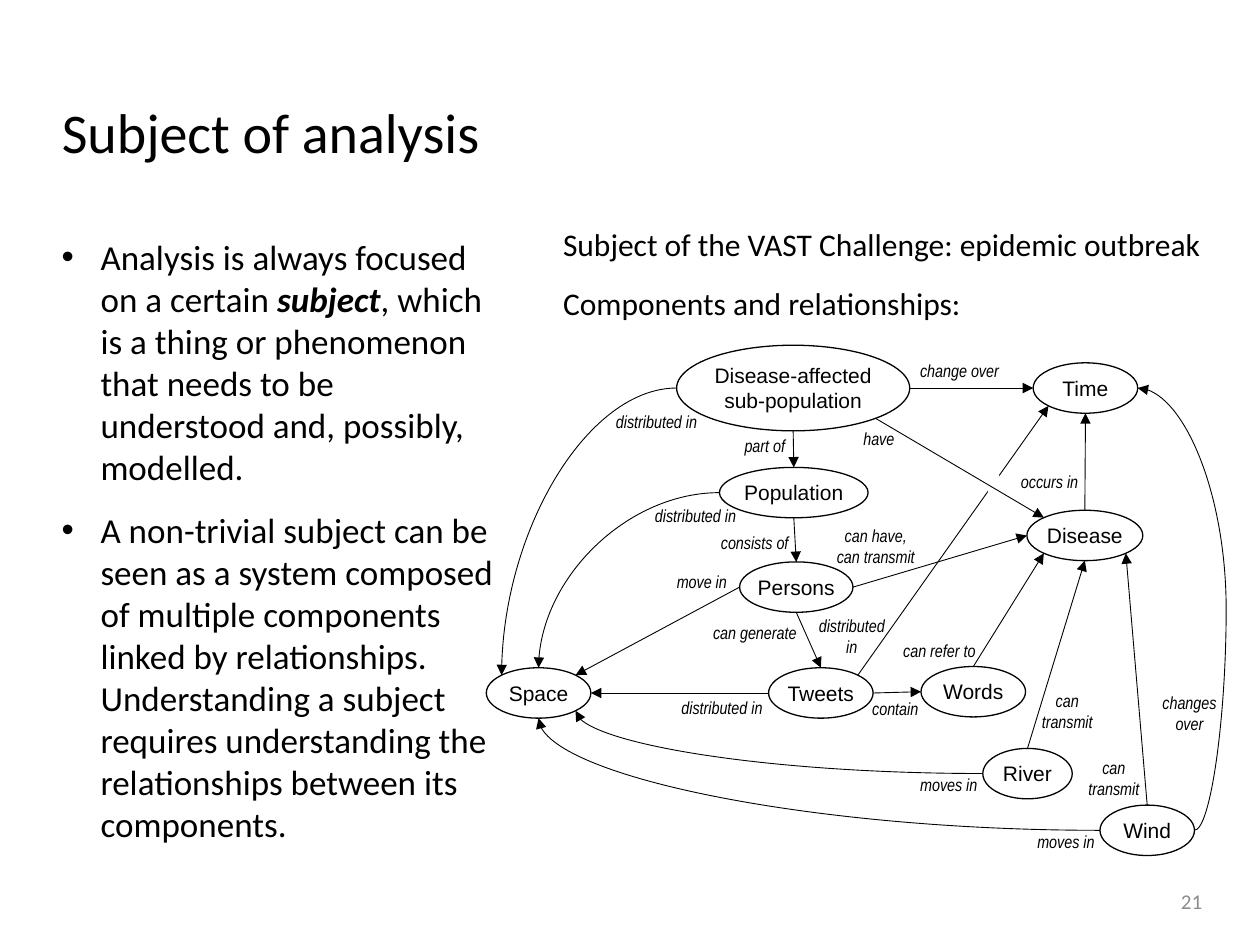
from math import cos, pi, sin
from lxml.etree import SubElement
from pptx import Presentation
from pptx.dml.color import RGBColor
from pptx.enum.shapes import MSO_CONNECTOR, MSO_SHAPE
from pptx.enum.text import MSO_ANCHOR, MSO_AUTO_SIZE, PP_ALIGN
from pptx.oxml.ns import qn
from pptx.util import Inches, Pt

COLORS = {"ink": "000000", "paper": "FFFFFF", "muted": "8C8C8C"}

TITLE = "Subject of analysis"
PAGE_NUMBER = "21"
POINTS = [
    ["Analysis is always focused on a certain ", ("subject",),
     ", which is a thing or phenomenon that needs to be understood and, possibly, modelled."],
    ["A non-trivial subject can be seen as a system composed of multiple components linked by "
     "relationships. Understanding a subject requires understanding the relationships between "
     "its components."],
]
INTRO = [["Subject of the VAST Challenge: epidemic outbreak"], ["Components and relationships:"]]

NODE_HEIGHT = 0.4
NODES = {
    "Disease-affected sub-population": (5.37, 2.74, 1.85, 0.68),
    "Time": (8.2, 2.88, 0.83, NODE_HEIGHT),
    "Population": (5.71, 3.71, 1.18, NODE_HEIGHT),
    "Disease": (8.15, 4.05, 0.92, NODE_HEIGHT),
    "Persons": (5.87, 4.46, 0.9, NODE_HEIGHT),
    "Space": (3.86, 5.3, 0.83, NODE_HEIGHT),
    "Tweets": (6.1, 5.3, 0.83, NODE_HEIGHT),
    "Words": (7.31, 5.29, 0.83, NODE_HEIGHT),
    "River": (7.8, 5.94, 0.71, NODE_HEIGHT),
    "Wind": (8.73, 6.39, 0.75, NODE_HEIGHT),
}
AFFECTED = "Disease-affected sub-population"

SITES = ["top", "top left", "left", "bottom left", "bottom", "bottom right", "right", "top right"]
CROSSING_LINK = ("Tweets", "top right", "Time", "bottom left")
CROSSING_GAP = (7.84, 3.77, 0.09, 0.31)
STRAIGHT_LINKS = [
    (AFFECTED, "bottom", "Population", "top"),
    (AFFECTED, "right", "Time", "left"),
    (AFFECTED, "bottom right", "Disease", "top left"),
    ("Population", "bottom", "Persons", "top"),
    ("Persons", "left", "Space", "top right"),
    ("Persons", "bottom", "Tweets", "top"),
    ("Persons", "right", "Disease", "left"),
    ("Tweets", "left", "Space", "right"),
    ("Tweets", "right", "Words", "left"),
    ("Words", "top", "Disease", "bottom left"),
    ("River", "top", "Disease", "bottom"),
    ("Wind", "top", "Disease", "bottom right"),
    ("Disease", "top", "Time", "bottom"),
]
CURVED_LINKS = [
    (AFFECTED, "left", "Space", "top left"),
    ("Population", "left", "Space", "top"),
    ("River", "left", "Space", "bottom right"),
    ("Wind", "left", "Space", "bottom"),
]
OUTER_LINK = ("Wind", "right", "Time", "right")
OUTER_BEND = -56000

ONE_LINE, TWO_LINES = 0.27, 0.44
LABELS = [
    ("distributed in", 4.77, 3.21, 0.88, ONE_LINE),
    ("distributed in", 5.1, 3.96, 0.84, ONE_LINE),
    ("change over", 7.18, 2.81, 0.87, ONE_LINE),
    ("part of", 5.8, 3.4, 0.54, ONE_LINE),
    ("consists of", 5.61, 4.17, 0.76, ONE_LINE),
    ("can generate", 5.55, 4.89, 0.88, ONE_LINE),
    ("have", 6.73, 3.35, 0.49, ONE_LINE),
    ("distributed in", 5.3, 5.48, 0.86, ONE_LINE),
    ("move in", 5.26, 4.48, 0.62, ONE_LINE),
    ("distributed in", 6.39, 4.83, 0.74, TWO_LINES),
    ("contain", 6.8, 5.49, 0.61, ONE_LINE),
    ("can refer to", 7.05, 5.03, 0.81, ONE_LINE),
    ("moves in", 7.2, 6.09, 0.66, ONE_LINE),
    ("moves in", 8.13, 6.55, 0.66, ONE_LINE),
    ("can transmit", 8.15, 5.43, 0.64, TWO_LINES),
    ("can transmit", 8.52, 5.96, 0.64, TWO_LINES),
    ("changes over", 9.09, 5.44, 0.7, TWO_LINES),
    ("can have, can transmit", 6.54, 4.12, 0.82, TWO_LINES),
    ("occurs in", 7.98, 3.69, 0.7, ONE_LINE),
]


def rgb(name):
    return RGBColor.from_string(COLORS[name])


def write(shape, paragraphs, size, font="Calibri", color="ink", italic=False, align=PP_ALIGN.LEFT,
          anchor=MSO_ANCHOR.TOP, gap=0, line_spacing=None, bullet=False, wrap=True, grow=False):
    frame = shape.text_frame
    frame.word_wrap = wrap
    frame.vertical_anchor = anchor
    frame.auto_size = MSO_AUTO_SIZE.SHAPE_TO_FIT_TEXT if grow else MSO_AUTO_SIZE.NONE
    for index, pieces in enumerate(paragraphs):
        para = frame.add_paragraph() if index else frame.paragraphs[0]
        para.alignment = align
        if bullet:
            properties = para._p.get_or_add_pPr()
            properties.set("marL", str(Inches(0.31)))
            properties.set("indent", str(-Inches(0.31)))
            SubElement(properties, qn("a:buFont"), typeface="Arial")
            SubElement(properties, qn("a:buChar"), char="•")
        if index:
            para.space_before = Pt(gap)
        if line_spacing:
            para.line_spacing = line_spacing
        for piece in pieces:
            strong = isinstance(piece, tuple)
            span = para.add_run()
            span.text = piece[0] if strong else piece
            span.font.name = font
            span.font.size = Pt(size)
            span.font.bold = strong
            span.font.italic = strong or italic
            span.font.color.rgb = rgb(color)


def add_text(page, place, paragraphs, size, **style):
    box = page.shapes.add_textbox(*map(Inches, place))
    write(box, paragraphs, size, **style)


def add_node(page, name):
    node = page.shapes.add_shape(MSO_SHAPE.OVAL, *map(Inches, NODES[name]))
    node.shadow.inherit = False
    node.fill.background()
    node.line.color.rgb = rgb("ink")
    node.line.width = Pt(0.75)
    frame = node.text_frame
    frame.margin_left = frame.margin_right = 0
    frame.margin_top = frame.margin_bottom = Inches(0.04)
    write(node, [[name]], 12, font="Arial", align=PP_ALIGN.CENTER, grow=True)
    return node


def site_point(name, site):
    left, top, width, height = NODES[name]
    angle = SITES.index(site) * pi / 4
    return (Inches(left + width / 2 * (1 - sin(angle))),
            Inches(top + height / 2 * (1 - cos(angle))))


def add_link(page, nodes, link, preset="line", bend=None):
    start, start_site, end, end_site = link
    kind = MSO_CONNECTOR.STRAIGHT if preset == "line" else MSO_CONNECTOR.CURVE
    connector = page.shapes.add_connector(
        kind, *site_point(start, start_site), *site_point(end, end_site))
    connector.line.color.rgb = rgb("ink")
    connector.line.width = Pt(0.5)
    element = connector._element
    SubElement(element.spPr.find(qn("a:ln")), qn("a:tailEnd"), type="triangle")
    SubElement(element.spPr, qn("a:effectLst"))
    geometry = element.spPr.find(qn("a:prstGeom"))
    geometry.set("prst", preset)
    if bend is not None:
        SubElement(geometry.find(qn("a:avLst")), qn("a:gd"), name="adj1", fmla=f"val {bend}")
    joints = element.find(".//" + qn("p:cNvCxnSpPr"))
    for tag, name, site in (("a:stCxn", start, start_site), ("a:endCxn", end, end_site)):
        SubElement(joints, qn(tag), id=str(nodes[name].shape_id), idx=str(SITES.index(site)))


def main():
    deck = Presentation()
    deck.slide_width, deck.slide_height = Inches(10), Inches(7.5)
    page = deck.slides.add_slide(deck.slide_layouts[5])

    title = page.shapes.title
    title.left, title.top, title.width, title.height = map(Inches, (0.39, 0.4, 9.25, 1.35))
    write(title, [[TITLE]], 32, anchor=MSO_ANCHOR.MIDDLE, line_spacing=0.9)
    add_text(page, (0.39, 1.82, 3.7, 1.95), POINTS, 20, gap=12, bullet=True)
    add_text(page, (7.39, 6.95, 2.25, 0.4), [[PAGE_NUMBER]], 12, color="muted",
             align=PP_ALIGN.RIGHT, anchor=MSO_ANCHOR.MIDDLE)

    nodes = {name: add_node(page, name) for name in NODES}
    add_link(page, nodes, CROSSING_LINK)
    gap = page.shapes.add_shape(MSO_SHAPE.RECTANGLE, *map(Inches, CROSSING_GAP))
    gap.shadow.inherit = False
    gap.fill.solid()
    gap.fill.fore_color.rgb = rgb("paper")
    gap.line.fill.background()
    for link in STRAIGHT_LINKS:
        add_link(page, nodes, link)
    for link in CURVED_LINKS:
        add_link(page, nodes, link, "curvedConnector2")
    add_link(page, nodes, OUTER_LINK, "curvedConnector3", OUTER_BEND)

    for label, *place in LABELS:
        add_text(page, place, [[label]], 10, font="Arial Narrow", italic=True,
                 align=PP_ALIGN.CENTER, grow=True)
    add_text(page, (4.37, 1.74, 5.42, 0.88), INTRO, 18, gap=12, wrap=False, grow=True)
    deck.save("out.pptx")


if __name__ == "__main__":
    main()
